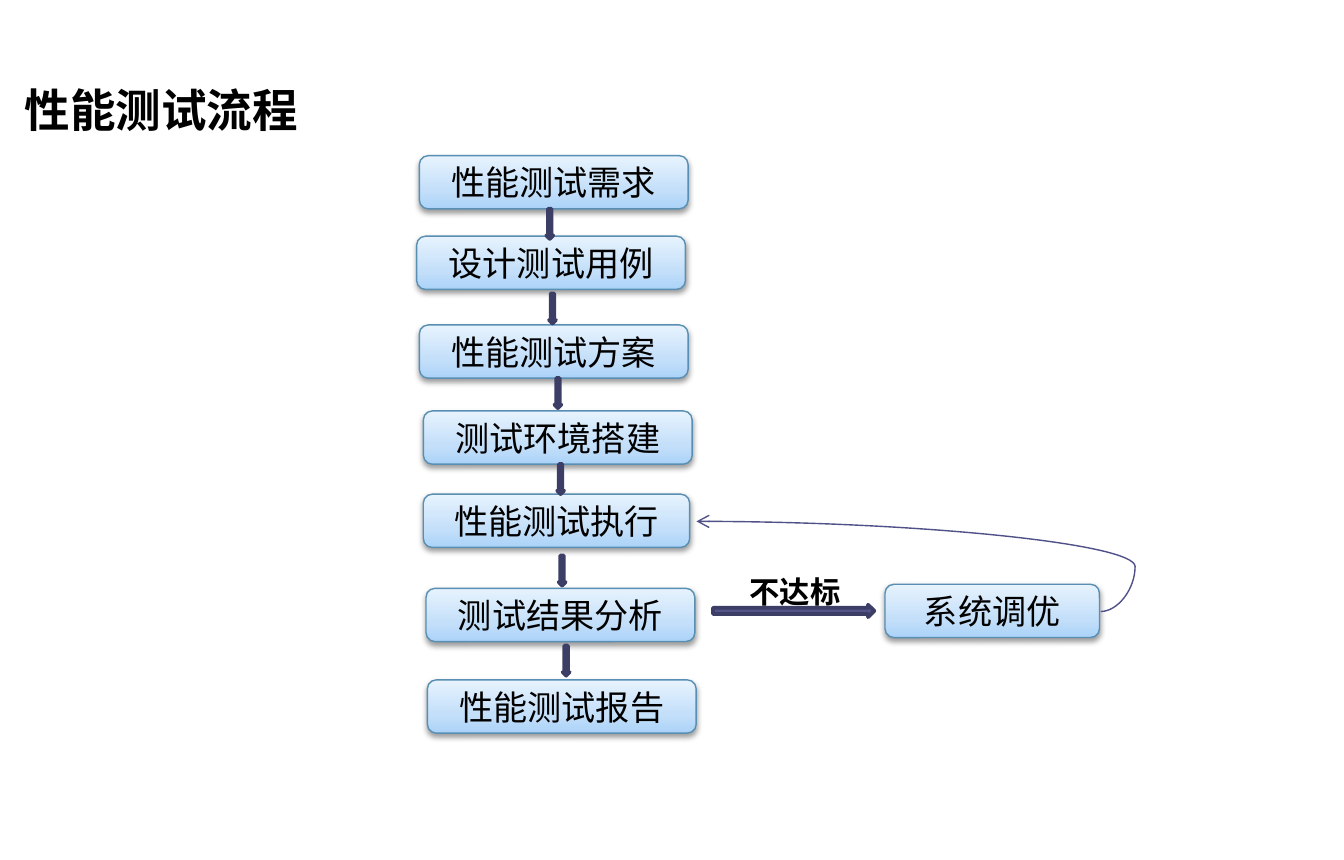
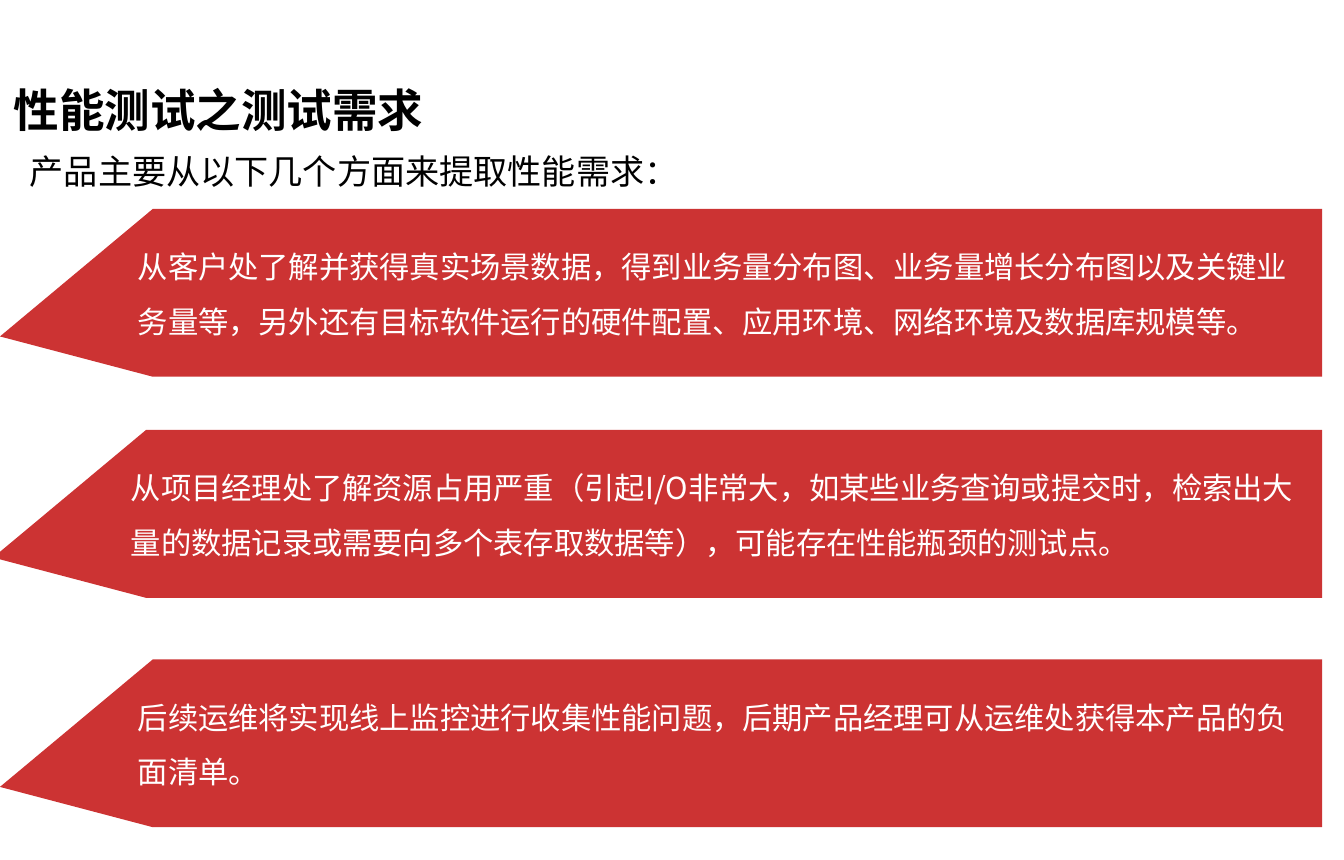
from copy import deepcopy
from dataclasses import dataclass

from lxml import etree
from pptx import Presentation, util as u
from pptx.dml.color import RGBColor
from pptx.enum import shapes, text
from pptx.oxml.ns import qn


@dataclass(frozen=True)
class Theme:
    """Colours, fonts and type sizes shared by the slides."""
    ink: str = "000000"
    light: str = "FFFFFF"
    panel: str = "C00000"
    panel_alpha: int = 80
    box_line: str = "588FB3"
    box_stops: tuple = ((0, "ABD3F8"), (0.35, "C4DFF9"), (1, "E7F3FE"))
    arrow: str = "53548A"
    arrow_line: str = "3D3E66"
    curve: str = "505188"
    latin: str = "Arial"
    asian: str = "Noto Sans CJK SC"
    title_size: int = 24
    text_size: int = 18
    small_size: int = 16


def color(value):
    return RGBColor.from_string(value)


def add_xml(parent, tag, **attributes):
    values = {name: str(value) for name, value in attributes.items()}
    return etree.SubElement(parent, qn(tag), values)


class Deck:
    """Holds the theme and the current slide; lengths are percent of the slide."""

    def __init__(self, theme):
        self.theme = theme
        self.presentation = Presentation()
        self.presentation.slide_width = u.Inches(9.84)
        self.presentation.slide_height = u.Inches(6.3)
        self.slide = None

    def x(self, share):
        return round(self.presentation.slide_width * share / 100)

    def y(self, share):
        return round(self.presentation.slide_height * share / 100)

    def frame(self, left, top, width, height):
        return self.x(left), self.y(top), self.x(width), self.y(height)

    def set_text(self, shape, words, size, ink=None, font=None, bold=False,
                 align=text.PP_ALIGN.LEFT, anchor=text.MSO_ANCHOR.TOP, spacing=None):
        text_frame = shape.text_frame
        text_frame.word_wrap = True
        text_frame.auto_size = text.MSO_AUTO_SIZE.NONE
        text_frame.vertical_anchor = anchor
        paragraph = text_frame.paragraphs[0]
        paragraph.alignment = align
        if spacing:
            paragraph.line_spacing = spacing
        run = paragraph.add_run()
        run.text = words
        run.font.size = u.Pt(size)
        run.font.bold = bold
        run.font.color.rgb = color(ink or self.theme.ink)
        run.font.name = font or self.theme.latin
        add_xml(run.font._element, "a:ea", typeface=self.theme.asian)

    def add_slide(self, title, left, width):
        layout = self.presentation.slide_layouts[5]
        self.slide = self.presentation.slides.add_slide(layout)
        shape = self.slide.shapes.title
        shape.left, shape.top, shape.width, shape.height = self.frame(left, 8.73, width, 10.5)
        self.set_text(shape, title, self.theme.title_size, bold=True)

    def label(self, words, left, top, width, height, size, **style):
        shape = self.slide.shapes.add_textbox(*self.frame(left, top, width, height))
        self.set_text(shape, words, size, **style)

    def box(self, words, left, top, width=20):
        shape = self.slide.shapes.add_shape(shapes.MSO_SHAPE.ROUNDED_RECTANGLE,
                                            *self.frame(left, top, width, 6.19))
        # Three-stop gradient, running upwards
        shape.fill.gradient()
        shape.fill.gradient_angle = 90
        stop_list = shape._element.spPr.find(qn("a:gradFill")).find(qn("a:gsLst"))
        stop_list.append(deepcopy(stop_list[-1]))
        for stop, (position, value) in zip(shape.fill.gradient_stops, self.theme.box_stops):
            stop.position = position
            stop.color.rgb = color(value)
        shape.line.color.rgb = color(self.theme.box_line)
        shape.line.width = u.Pt(0.75)
        # Soft shadow below
        shape.shadow.inherit = False
        effects = shape._element.spPr.find(qn("a:effectLst"))
        shadow = add_xml(effects, "a:outerShdw", blurRad=u.Pt(3.1), dist=u.Pt(1.6),
                         dir=5400000, rotWithShape=0)
        add_xml(add_xml(shadow, "a:srgbClr", val=self.theme.ink), "a:alpha", val=38000)
        self.set_text(shape, words, self.theme.text_size, align=text.PP_ALIGN.CENTER,
                      anchor=text.MSO_ANCHOR.MIDDLE)

    def arrow(self, kind, left, top, width, height):
        shape = self.slide.shapes.add_shape(kind, *self.frame(left, top, width, height))
        shape.shadow.inherit = False
        shape.fill.solid()
        shape.fill.fore_color.rgb = color(self.theme.arrow)
        shape.line.color.rgb = color(self.theme.arrow_line)
        shape.line.width = u.Pt(2)

    def curve(self, start, end, bend):
        connector = self.slide.shapes.add_connector(
            shapes.MSO_CONNECTOR.CURVE, self.x(start[0]), self.y(start[1]),
            self.x(end[0]), self.y(end[1]))
        connector.line.color.rgb = color(self.theme.curve)
        connector.line.width = u.Pt(0.75)
        properties = connector._element.spPr
        guides = properties.find(qn("a:prstGeom")).find(qn("a:avLst"))
        add_xml(guides, "a:gd", name="adj1", fmla=f"val {bend}")
        add_xml(properties.find(qn("a:ln")), "a:tailEnd", type="arrow")
        add_xml(properties, "a:effectLst")

    def panel(self, words, left, top):
        """Pointed band with its tip on the left, and the text on it."""
        right, height = 98.37, 19.52
        shoulder, bottom = left + 11.38, top + height
        outline = ((right, top), (right, bottom), (shoulder, bottom),
                   (left, top + 0.76 * height), (shoulder, top))
        points = [(self.x(across), self.y(down)) for across, down in outline]
        builder = self.slide.shapes.build_freeform(*points[0])
        builder.add_line_segments(points[1:], close=True)
        shape = builder.convert_to_shape()
        shape.shadow.inherit = False
        shape.line.fill.background()
        shape.fill.solid()
        shape.fill.fore_color.rgb = color(self.theme.panel)
        fill = shape._element.spPr.find(qn("a:solidFill"))
        add_xml(fill[0], "a:alpha", val=self.theme.panel_alpha * 1000)
        text_left = left + 9.25
        self.label(words, text_left, top + 1.7, 97.9 - text_left, 14.4, self.theme.small_size,
                   ink=self.theme.light, font=self.theme.asian, spacing=1.5)


def build_process(deck):
    deck.add_slide("性能测试流程", 0.81, 98.9)
    # Steps from top to bottom
    steps = (("性能测试需求", 31.2, 18.1), ("设计测试用例", 31, 27.46),
             ("性能测试方案", 31.2, 37.78), ("测试环境搭建", 31.5, 47.78),
             ("性能测试执行", 31.5, 57.46, 19.82), ("测试结果分析", 31.7, 68.41),
             ("性能测试报告", 31.8, 79.05))
    for step in steps:
        deck.box(*step)
    # Arrows between the steps
    for left, top in ((40.65, 24.29), (40.85, 34.13), (41.26, 43.97),
                      (41.46, 53.97), (41.57, 64.6), (41.87, 75.08)):
        deck.arrow(shapes.MSO_SHAPE.DOWN_ARROW, left, top, 0.51, 3.49)
    # Tuning loop back to the test run
    deck.box("系统调优", 65.85, 67.94, 15.96)
    deck.arrow(shapes.MSO_SHAPE.RIGHT_ARROW, 53.05, 70.32, 12, 1.43)
    deck.label("不达标", 54.78, 65.87, 9.25, 5.87, deck.theme.small_size, bold=True)
    deck.curve((81.91, 71.11), (51.83, 60.63), -8500)


def build_requirements(deck):
    deck.add_slide("性能测试之测试需求", 0, 100)
    deck.label("产品主要从以下几个方面来提取性能需求：", 1.22, 16.67, 88.8, 6.35,
               deck.theme.text_size)
    # Sources of the requirements
    deck.panel("从客户处了解并获得真实场景数据，得到业务量分布图、业务量增长分布图以及关键业务量等，"
               "另外还有目标软件运行的硬件配置、应用环境、网络环境及数据库规模等。", 0, 24.29)
    deck.panel("从项目经理处了解资源占用严重（引起I/O非常大，如某些业务查询或提交时，"
               "检索出大量的数据记录或需要向多个表存取数据等），可能存在性能瓶颈的测试点。", -0.51, 50)
    deck.panel("后续运维将实现线上监控进行收集性能问题，后期产品经理可从运维处获得本产品的负面清单。",
               0, 76.67)


def main():
    deck = Deck(Theme())
    build_process(deck)
    build_requirements(deck)
    deck.presentation.save("out.pptx")


if __name__ == "__main__":
    main()
